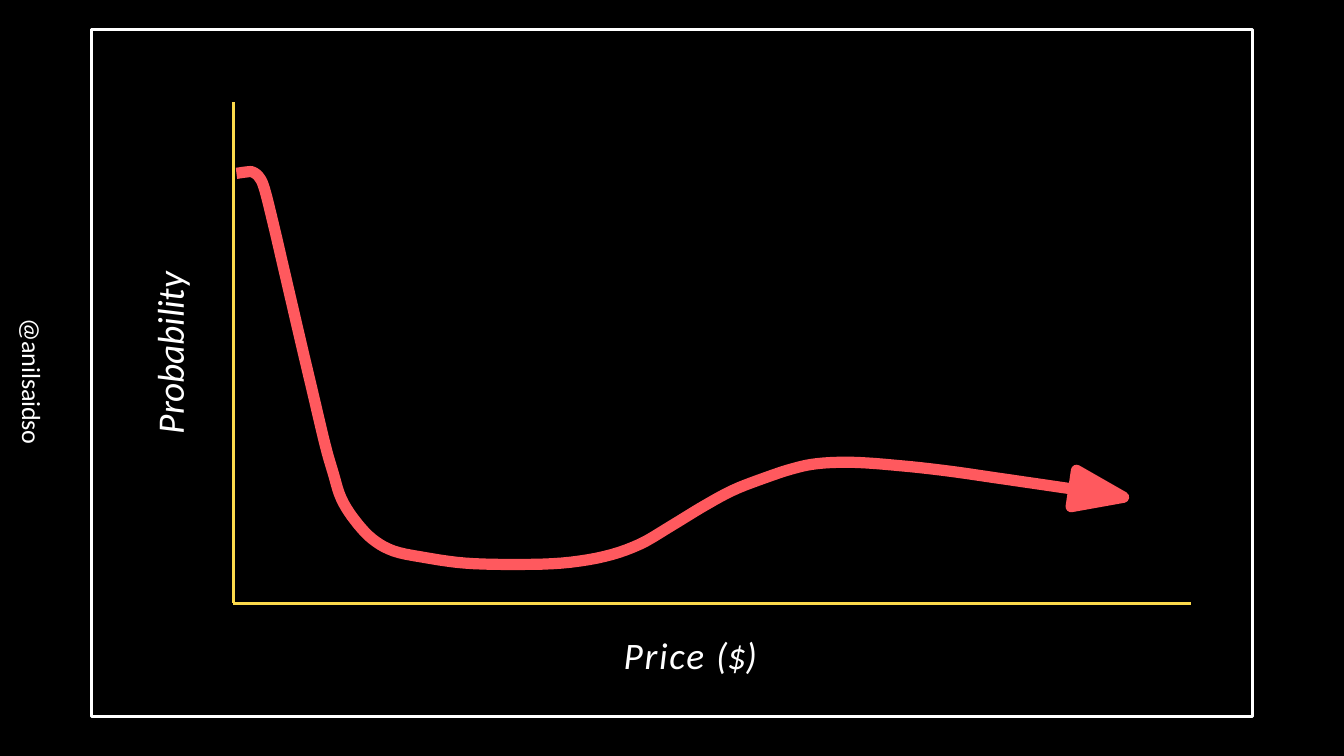
from lxml.etree import SubElement
from pptx import Presentation
from pptx.dml.color import RGBColor
from pptx.enum.shapes import MSO_CONNECTOR, MSO_SHAPE
from pptx.enum.text import MSO_ANCHOR, MSO_AUTO_SIZE, PP_ALIGN
from pptx.oxml.ns import qn
from pptx.util import Inches, Pt

# Content: lengths in inches, colours as hex
WIDTH, HEIGHT = 10, 10 * 9 / 16
BLACK, WHITE, YELLOW, RED = "000000", "FFFFFF", "FCD94B", "FF595E"
FRAME = (0.68, 0.22, 8.64, 5.11)
AXES = [(1.74, 0.76, 1.74, 4.49), (1.73, 4.49, 8.86, 4.49)]
CURVE = [
    (1.76, 1.29), (1.83, 1.28), (1.88, 1.28), (1.93, 1.32), (1.97, 1.41),
    (2.04, 1.69), (2.14, 2.12), (2.24, 2.55), (2.33, 2.93), (2.42, 3.31),
    (2.48, 3.52), (2.54, 3.71), (2.64, 3.87), (2.77, 4.01), (2.93, 4.1),
    (3.17, 4.15), (3.46, 4.19), (3.81, 4.2), (4.18, 4.19), (4.5, 4.14),
    (4.76, 4.05), (5.0, 3.91), (5.23, 3.77), (5.45, 3.65), (5.68, 3.56),
    (5.89, 3.49), (6.08, 3.45), (6.34, 3.44), (6.64, 3.46), (7.02, 3.5),
    (7.51, 3.57), (7.99, 3.64),
]
ARROWHEAD = [(7.97, 3.77), (8.01, 3.5), (8.36, 3.7)]
# Each label: runs of (text, letter spacing in points), box, size, italic, direction
TITLE = ([("Price ", 0.9), ("($)", -0.2)],
         (4.64, 4.69, 1.03, 0.36), 20, True, None)
SIDE_LABELS = [
    ([("Probability", -0.1)], (1.09, 1.9, 0.38, 1.33), 20, True, "vert270"),
    ([("@anilsaidso", -0.1)], (0.09, 2.36, 0.27, 1.0), 14, False, "vert"),
]
STEPS = 5  # straight pieces between two curve points


def colour(value):
    return RGBColor.from_string(value)


def style_line(line, value, width):
    line.color.rgb = colour(value)
    line.width = Pt(width)


def smooth_points(knots):
    """Catmull-Rom spline through the knots."""
    padded = [knots[0], *knots, knots[-1]]
    points = []
    for a, b, c, d in zip(padded, padded[1:], padded[2:], padded[3:]):
        for t in (step / STEPS for step in range(STEPS)):
            points.append(tuple(
                q + t * (r - p) / 2
                + t**2 * (2 * p - 5 * q + 4 * r - s) / 2
                + t**3 * (3 * q - p - 3 * r + s) / 2
                for p, q, r, s in zip(a, b, c, d)))
    return points + [knots[-1]]


def add_outline(points, close):
    points = [(Inches(x), Inches(y)) for x, y in points]
    builder = slide.shapes.build_freeform(*points[0])
    builder.add_line_segments(points[1:], close=close)
    shape = builder.convert_to_shape()
    shape.shadow.inherit = False
    shape.fill.background()
    style_line(shape.line, RED, 6)
    SubElement(shape.line._get_or_add_ln(), qn("a:round"))
    return shape


def write_label(shape, runs, box, size, italic, direction):
    shape.left, shape.top, shape.width, shape.height = map(Inches, box)
    frame = shape.text_frame
    frame.word_wrap = True
    frame.auto_size = MSO_AUTO_SIZE.NONE
    frame.vertical_anchor = MSO_ANCHOR.TOP
    frame.margin_left = frame.margin_right = frame.margin_bottom = 0
    frame.margin_top = Inches(0.01)
    if direction:
        frame._txBody.bodyPr.set("vert", direction)
    paragraph = frame.paragraphs[0]
    paragraph.alignment = PP_ALIGN.LEFT
    for text, spacing in runs:
        run = paragraph.add_run()
        run.text = text
        font = run.font
        font.name, font.size, font.italic = "Calibri", Pt(size), italic
        font.color.rgb = colour(WHITE)
        run._r.get_or_add_rPr().set("spc", str(round(spacing * 100)))


# Slide
presentation = Presentation()
presentation.slide_width = Inches(WIDTH)
presentation.slide_height = Inches(HEIGHT)
slide = presentation.slides.add_slide(presentation.slide_layouts[5])
slide.background.fill.solid()
slide.background.fill.fore_color.rgb = colour(BLACK)

# Horizontal axis label
write_label(slide.shapes.title, *TITLE)

# Axes
for axis in AXES:
    connector = slide.shapes.add_connector(
        MSO_CONNECTOR.STRAIGHT, *map(Inches, axis))
    style_line(connector.line, YELLOW, 1.5)
    SubElement(connector._element.spPr, qn("a:effectLst"))

# Probability curve and its arrowhead
add_outline(smooth_points(CURVE), close=False)
arrowhead = add_outline(ARROWHEAD, close=True)
arrowhead.fill.solid()
arrowhead.fill.fore_color.rgb = colour(RED)

# Frame
border = slide.shapes.add_shape(MSO_SHAPE.RECTANGLE, *map(Inches, FRAME))
border.shadow.inherit = False
border.fill.background()
style_line(border.line, WHITE, 1.5)

# Rotated labels
for label in SIDE_LABELS:
    write_label(slide.shapes.add_textbox(0, 0, 0, 0), *label)

presentation.save("out.pptx")
